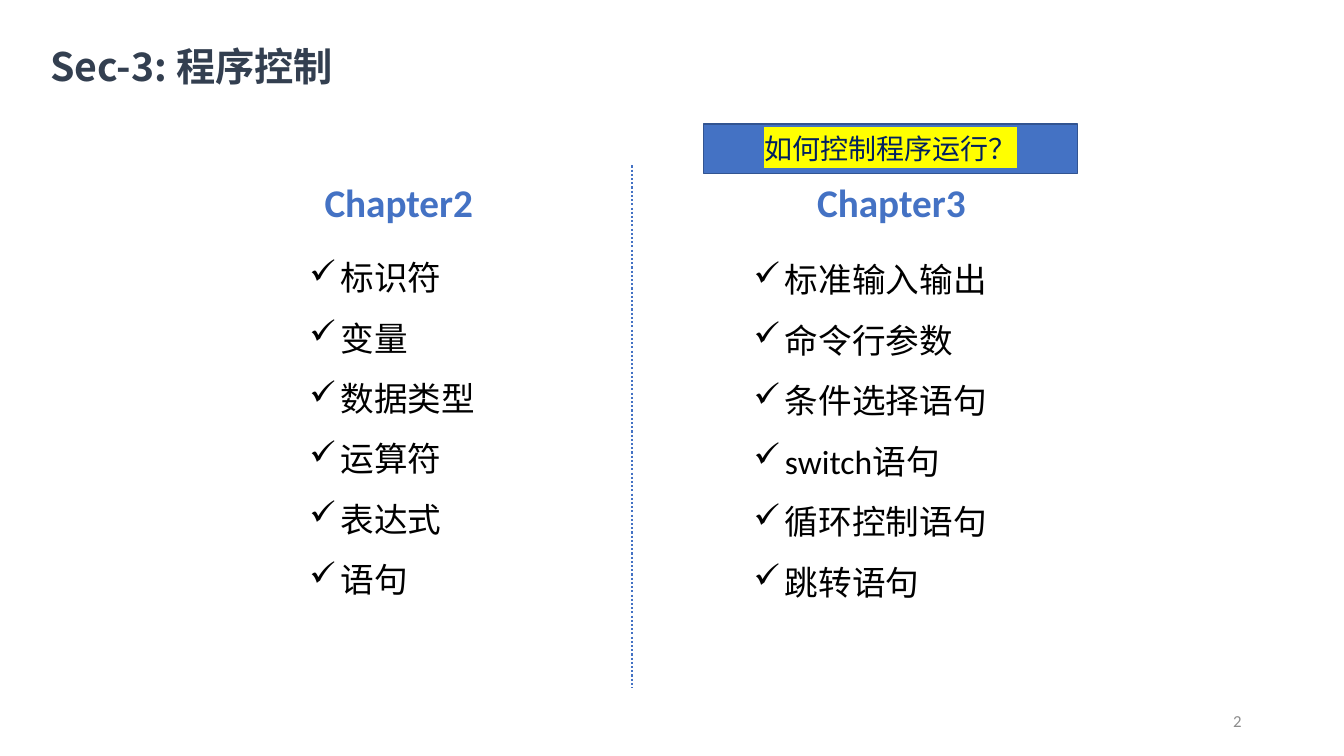
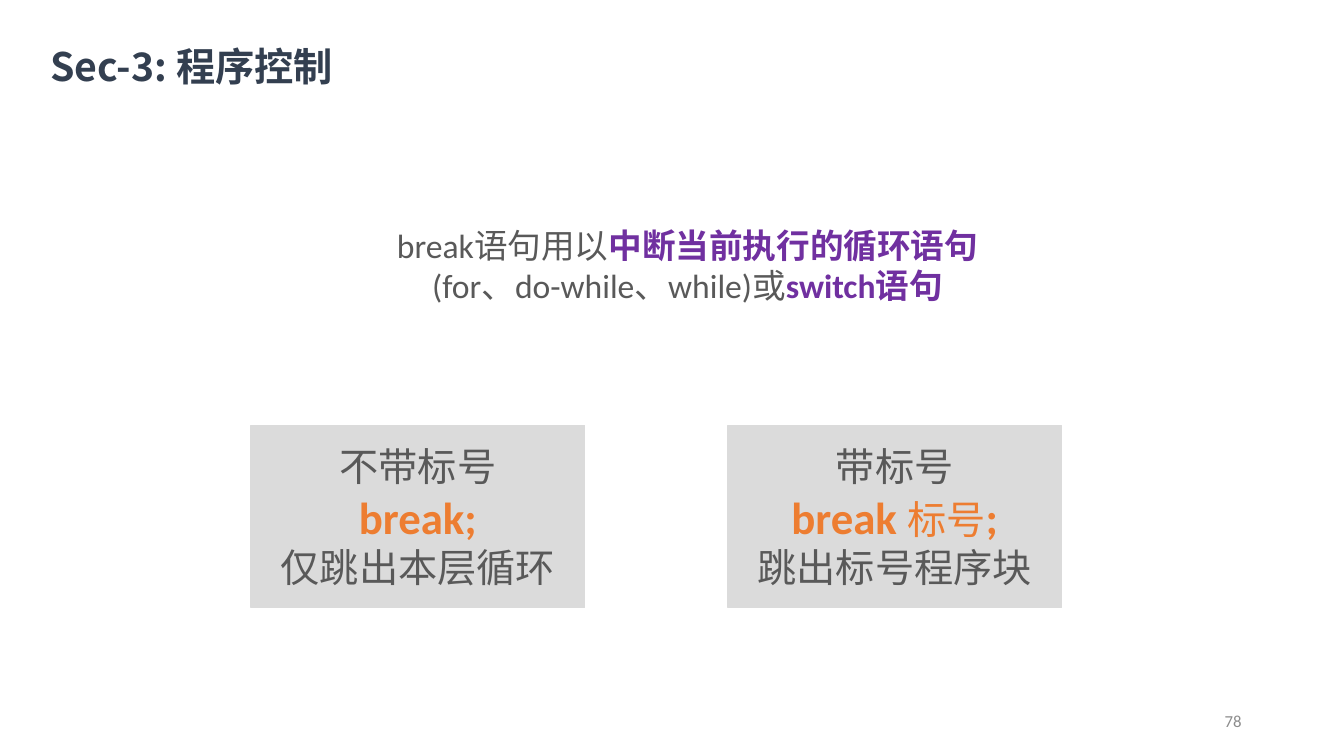
from dataclasses import dataclass

from lxml.etree import SubElement
from pptx import Presentation
from pptx.dml.color import RGBColor
from pptx.enum.dml import MSO_LINE
from pptx.enum.shapes import MSO_CONNECTOR, MSO_SHAPE
from pptx.enum.text import MSO_ANCHOR, MSO_AUTO_SIZE, PP_ALIGN
from pptx.oxml.ns import qn
from pptx.util import Inches, Pt

BLUE = RGBColor(0x44, 0x72, 0xC4)
BLUE_EDGE = RGBColor(0x32, 0x54, 0x91)
NAVY = RGBColor(0x00, 0x20, 0x60)
SLATE = RGBColor(0x33, 0x3F, 0x50)
BLACK = RGBColor(0x00, 0x00, 0x00)
GRAY = RGBColor(0x59, 0x59, 0x59)
PAGE_GRAY = RGBColor(0x8C, 0x8C, 0x8C)
PANEL_GRAY = RGBColor(0xDB, 0xDB, 0xDB)
PURPLE = RGBColor(0x70, 0x30, 0xA0)
ORANGE = RGBColor(0xED, 0x7D, 0x31)
YELLOW = RGBColor(0xFF, 0xFF, 0x00)

LATIN = "Calibri"
CHINESE = "Noto Sans CJK SC"
WIDTH, HEIGHT = Inches(13.33), Inches(7.5)
COLUMNS, ROWS = 32, 18
TITLE = "Sec-3: 程序控制"


@dataclass(frozen=True)
class Style:
    size: int
    color: RGBColor
    bold: bool = False
    name: str = LATIN

    def apply(self, font):
        font.size = Pt(self.size)
        font.bold = self.bold
        font.name = self.name
        font.color.rgb = self.color


TITLE_STYLE = Style(28, SLATE, True, CHINESE)
NUMBER_STYLE = Style(12, PAGE_GRAY)
HEADING = Style(28, BLUE, True)
ITEM = Style(24, BLACK)
CALLOUT = Style(20, NAVY)
BODY = Style(24, GRAY)
EMPHASIS = Style(24, PURPLE, True)
CAPTION = Style(28, GRAY, False, CHINESE)
KEYWORD = Style(32, ORANGE, True)
LABEL = Style(28, ORANGE, False, CHINESE)


class Lesson:
    def __init__(self):
        self.deck = Presentation()
        self.deck.slide_width, self.deck.slide_height = WIDTH, HEIGHT
        self.page = None

    def across(self, columns):
        return round(WIDTH * columns / COLUMNS)

    def down(self, rows):
        return round(HEIGHT * rows / ROWS)

    def area(self, left, top, width, height):
        return self.across(left), self.down(top), self.across(width), self.down(height)

    def add_spans(self, paragraph, spans, align=PP_ALIGN.LEFT):
        paragraph.alignment = align
        styles = {style for _, style in spans}
        for text, style in spans:
            span = paragraph.add_run()
            span.text = text
            if len(styles) > 1:
                style.apply(span.font)
        if len(styles) == 1:
            styles.pop().apply(paragraph.font)
        for latin in list(paragraph._p.iter(qn("a:latin"))):
            east_asian = SubElement(latin.getparent(), qn("a:ea"), typeface=CHINESE)
            latin.addnext(east_asian)

    def start(self, number):
        self.page = self.deck.slides.add_slide(self.deck.slide_layouts[5])
        title = self.page.shapes.title
        title.left, title.top, title.width, title.height = self.area(1.2, 1, 15.55, 1.15)
        frame = title.text_frame
        frame.margin_left = frame.margin_top = frame.margin_right = frame.margin_bottom = 0
        frame.vertical_anchor = MSO_ANCHOR.MIDDLE
        frame.auto_size = MSO_AUTO_SIZE.NONE
        frame.word_wrap = True
        self.add_spans(frame.paragraphs[0], [(TITLE, TITLE_STYLE)])
        box = self.text((22.6, 16.68, 7.2, 0.96), [(str(number), NUMBER_STYLE)], PP_ALIGN.RIGHT)
        box.text_frame.vertical_anchor = MSO_ANCHOR.MIDDLE

    def text(self, area, spans, align=PP_ALIGN.LEFT):
        box = self.page.shapes.add_textbox(*self.area(*area))
        box.text_frame.word_wrap = True
        self.add_spans(box.text_frame.paragraphs[0], spans, align)
        return box

    def checklist(self, area, items):
        frame = self.page.shapes.add_textbox(*self.area(*area)).text_frame
        frame.word_wrap = True
        for index, item in enumerate(items):
            paragraph = frame.add_paragraph() if index else frame.paragraphs[0]
            paragraph.line_spacing = 1.5
            properties = paragraph._p.get_or_add_pPr()
            properties.set("marL", str(Inches(0.31)))
            properties.set("indent", str(-Inches(0.31)))
            SubElement(properties, qn("a:buChar"), char="✓")
            self.add_spans(paragraph, [(item, ITEM)])

    def panel(self, area, fill, edge, lines):
        box = self.page.shapes.add_shape(MSO_SHAPE.RECTANGLE, *self.area(*area))
        box.shadow.inherit = False
        box.fill.solid()
        box.fill.fore_color.rgb = fill
        box.line.color.rgb = edge
        box.line.width = Pt(1)
        frame = box.text_frame
        frame.vertical_anchor = MSO_ANCHOR.MIDDLE
        for index, spans in enumerate(lines):
            paragraph = frame.add_paragraph() if index else frame.paragraphs[0]
            self.add_spans(paragraph, spans, PP_ALIGN.CENTER)
        return box

    def highlight(self, box, color):
        for span in box.text_frame.paragraphs[0].runs:
            mark = SubElement(span._r.get_or_add_rPr(), qn("a:highlight"))
            SubElement(mark, qn("a:srgbClr"), val=str(color))

    def divider(self, column, top, bottom):
        x = self.across(column)
        line = self.page.shapes.add_connector(
            MSO_CONNECTOR.STRAIGHT, x, self.down(top), x, self.down(bottom))
        line.line.color.rgb = BLUE
        line.line.width = Pt(1.5)
        line.line.dash_style = MSO_LINE.ROUND_DOT
        SubElement(line._element.spPr, qn("a:effectLst"))


def build_overview(lesson):
    lesson.start(2)
    lesson.text((7.49, 4.13, 4.15, 1.37), [("Chapter2", HEADING)])
    lesson.text((19.22, 4.13, 5.28, 1.37), [("Chapter3", HEADING)])
    lesson.divider(15.05, 3.94, 16.37)
    lesson.checklist((7.13, 5.52, 4.7, 8.98),
                     ["标识符", "变量", "数据类型", "运算符", "表达式", "语句"])
    lesson.checklist((17.71, 5.57, 8.14, 8.81),
                     ["标准输入输出", "命令行参数", "条件选择语句",
                      "switch语句", "循环控制语句", "跳转语句"])
    question = lesson.panel((16.75, 2.95, 8.9, 1.18), BLUE, BLUE_EDGE,
                            [[("如何控制程序运行？", CALLOUT)]])
    lesson.highlight(question, YELLOW)


def build_break(lesson):
    lesson.start(78)
    lesson.text((8.81, 5.23, 15.12, 2.18),
                [("break语句用以", BODY), ("中断当前执行的循环语句", EMPHASIS),
                 ("(for、do-while、while)或", BODY), ("switch语句", EMPHASIS)],
                PP_ALIGN.CENTER)
    forms = [
        ("不带标号", [("break;", KEYWORD)], "仅跳出本层循环"),
        ("带标号", [("break ", KEYWORD), ("标号", LABEL), (";", KEYWORD)], "跳出标号程序块"),
    ]
    for index, (heading, code, effect) in enumerate(forms):
        lesson.panel((5.98 + 11.35 * index, 10.13, 7.94, 4.34), PANEL_GRAY, PANEL_GRAY,
                     [[(heading, CAPTION)], code, [(effect, CAPTION)]])


def main():
    lesson = Lesson()
    build_overview(lesson)
    build_break(lesson)
    lesson.deck.save("out.pptx")


if __name__ == "__main__":
    main()
